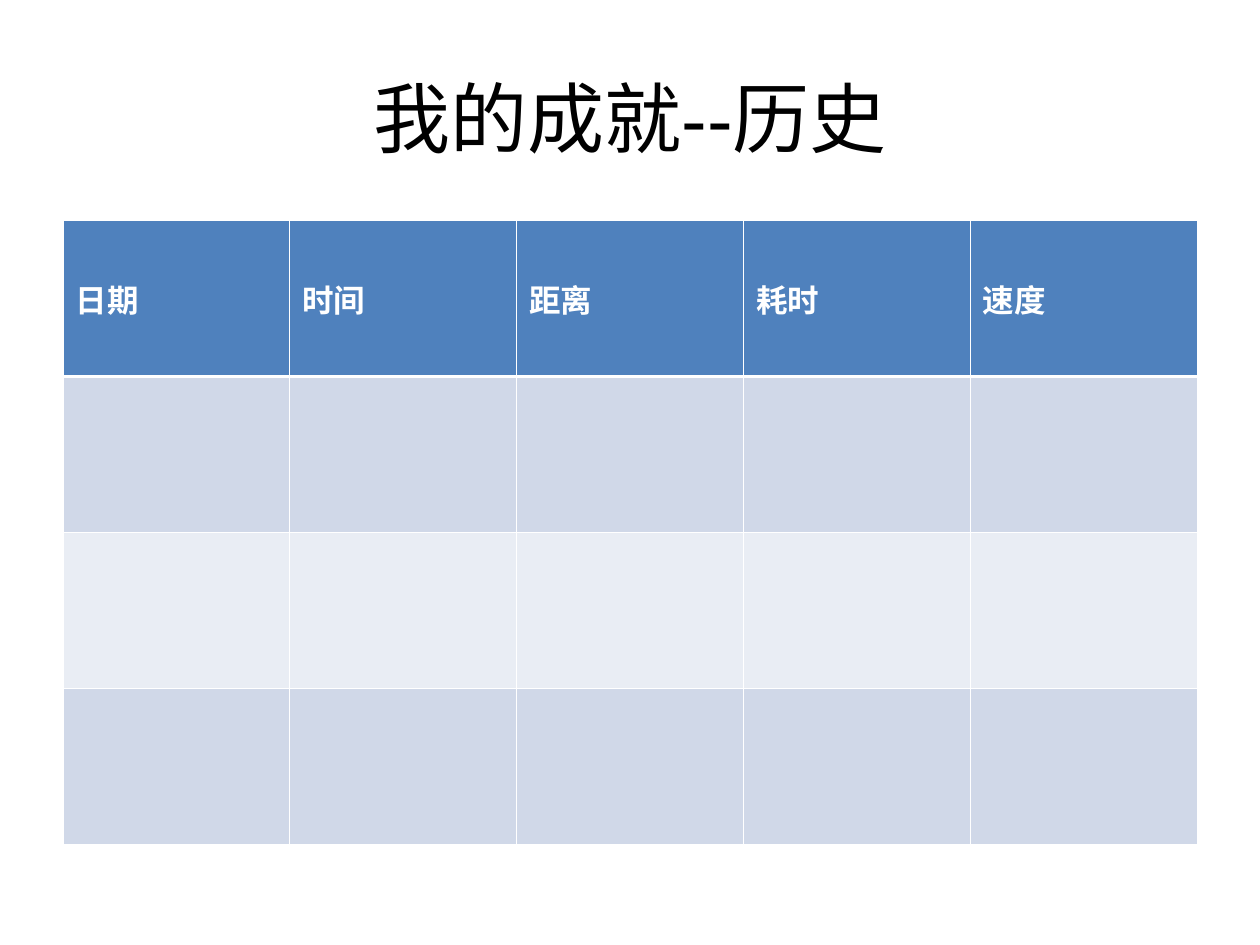
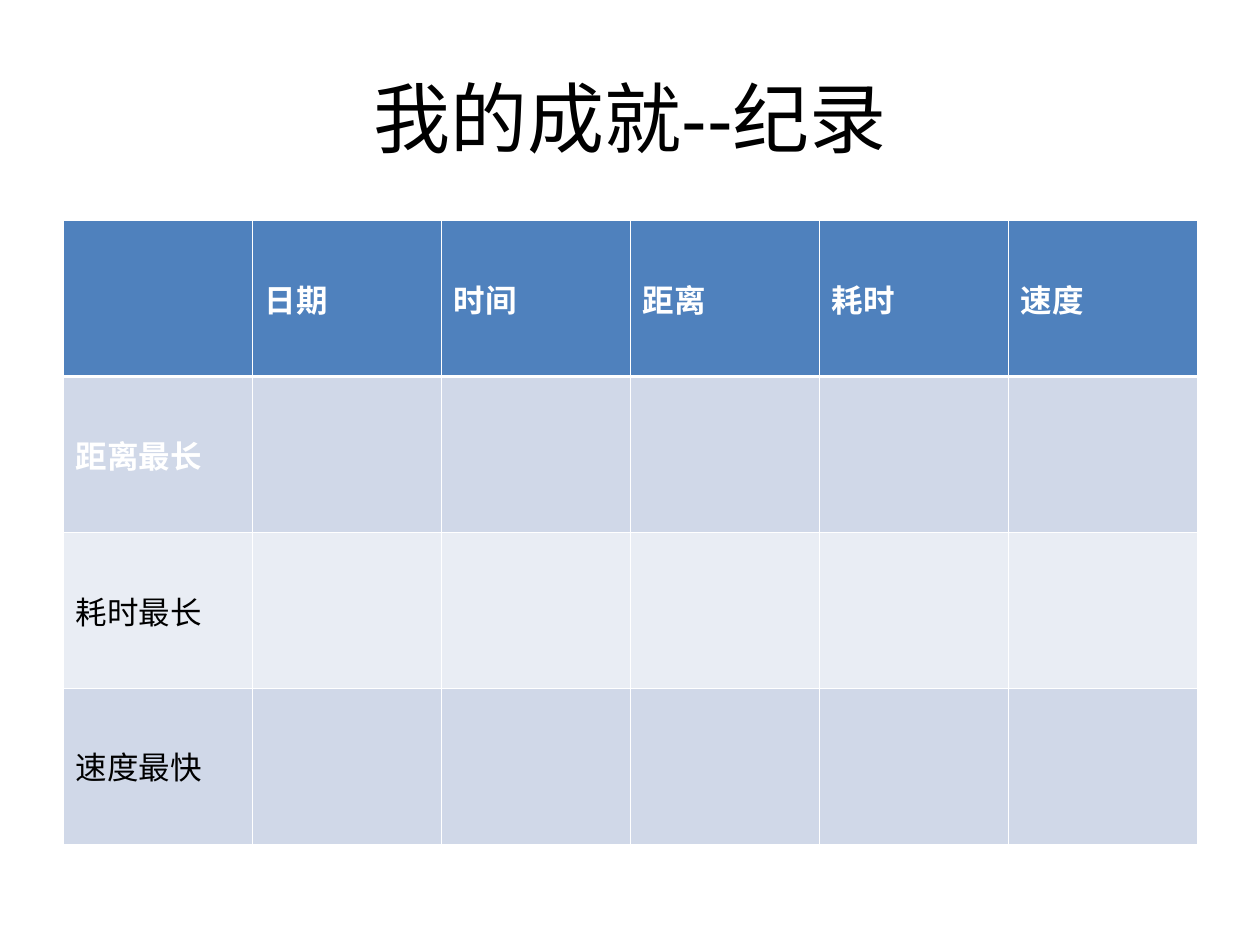
from lxml import etree
from pptx import Presentation
from pptx import util as u
from pptx.dml.color import RGBColor
from pptx.enum import text
from pptx.oxml import ns

COLORS = {
    "title": "000000",
    "header": "4F81BD",
    "band_dark": "D0D8E8",
    "band_light": "E9EDF4",
    "label": "000000",
    "light": "FFFFFF",
}
TITLE_BOX = (0.5, 0.3, 9, 1.25)
TABLE_BOX = (0.5, 1.75, 9, 4.95)
TITLE_FONT = {"name": "Arial", "size": u.Pt(44)}
HEADING_FONT = {"name": "Calibri", "size": u.Pt(18), "bold": True}
LABEL_FONT = {**HEADING_FONT, "bold": False}
THIN, THICK = 0.45, 1.47
FIELDS = ["日期", "时间", "距离", "耗时", "速度"]
RECORDS = ["距离最长", "耗时最长", "速度最快"]


def rgb(key):
    return RGBColor.from_string(COLORS[key])


def inches(box):
    return [u.Inches(length) for length in box]


def apply(target, values):
    for attribute, value in values.items():
        setattr(target, attribute, value)


def write(paragraph, wording, font_values, color):
    run = paragraph.add_run()
    run.text = wording
    apply(run.font, font_values)
    run.font.color.rgb = rgb(color)


def add_title(slide, wording, box):
    frame = slide.shapes.add_textbox(*inches(box)).text_frame
    apply(frame, {"word_wrap": True, "vertical_anchor": text.MSO_ANCHOR.MIDDLE})
    heading = frame.paragraphs[0]
    heading.alignment = text.PP_ALIGN.CENTER
    write(heading, wording, TITLE_FONT, "title")


def add_borders(cell, row):
    widths = {
        "a:lnL": THIN,
        "a:lnR": THIN,
        "a:lnT": THICK if row == 1 else THIN,
        "a:lnB": THICK if row == 0 else THIN,
    }
    properties = cell._tc.get_or_add_tcPr()
    for side, width in widths.items():
        line = etree.SubElement(properties, ns.qn(side), w=str(int(u.Pt(width))))
        fill = etree.SubElement(line, ns.qn("a:solidFill"))
        etree.SubElement(fill, ns.qn("a:srgbClr"), val=COLORS["light"])


def format_cell(cell, row, wording):
    add_borders(cell, row)
    cell.fill.solid()
    band = "header" if row == 0 else "band_dark" if row % 2 else "band_light"
    cell.fill.fore_color.rgb = rgb(band)
    cell.vertical_anchor = text.MSO_ANCHOR.MIDDLE
    if wording:
        entry = cell.text_frame.paragraphs[0]
        entry.space_before = u.Pt(4.5)
        emphasised = row < 2
        write(entry, wording, HEADING_FONT if emphasised else LABEL_FONT,
              "light" if emphasised else "label")


def add_log(slide, entries, box):
    left, top, width, height = inches(box)
    row_count, column_count = len(entries), len(entries[0])
    log = slide.shapes.add_table(row_count, column_count, left, top, width, height).table
    for column in log.columns:
        column.width = width // column_count
    for row, wordings in enumerate(entries):
        log.rows[row].height = height // row_count
        for column, wording in enumerate(wordings):
            format_cell(log.cell(row, column), row, wording)


def add_achievement_slide(deck, title, entries):
    slide = deck.slides.add_slide(deck.slide_layouts[6])
    add_title(slide, title, TITLE_BOX)
    add_log(slide, entries, TABLE_BOX)


def main():
    deck = Presentation()
    apply(deck, {"slide_width": u.Inches(10), "slide_height": u.Inches(7.5)})
    blanks = [""] * len(FIELDS)
    history = [FIELDS] + [blanks] * 3
    records = [["", *FIELDS]] + [[record, *blanks] for record in RECORDS]
    add_achievement_slide(deck, "我的成就--历史", history)
    add_achievement_slide(deck, "我的成就--纪录", records)
    deck.save("out.pptx")


if __name__ == "__main__":
    main()
